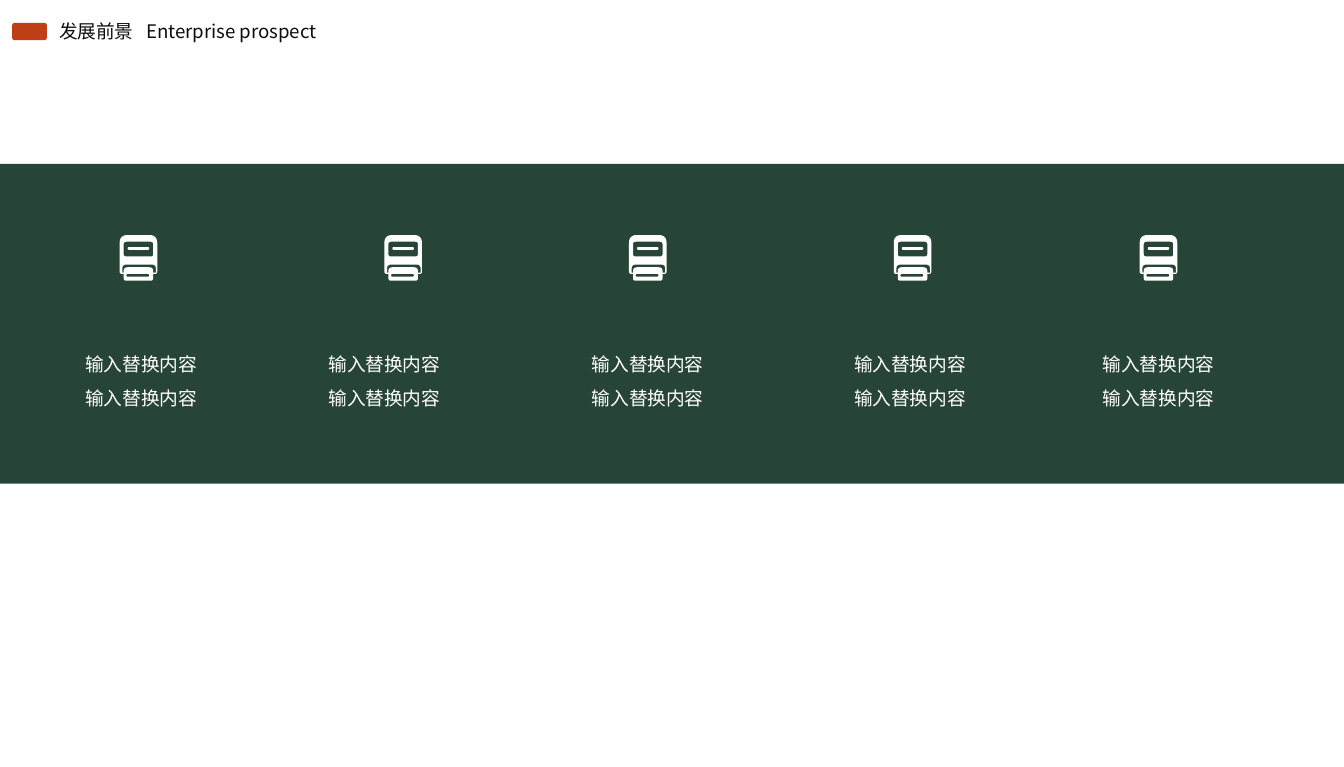
from dataclasses import dataclass
from math import hypot

from lxml.etree import SubElement
from pptx import Presentation
from pptx.dml.color import RGBColor
from pptx.enum.shapes import MSO_SHAPE
from pptx.enum.text import MSO_ANCHOR, MSO_AUTO_SIZE, PP_ALIGN
from pptx.oxml.ns import qn
from pptx.util import Inches, Pt


@dataclass(frozen=True)
class Theme:
    font: str = "Noto Sans CJK SC"
    size: int = 10
    line_height: int = 12
    paragraph_gap: int = 6
    ink: str = "0D0D0D"
    white: str = "FFFFFF"
    accent: str = "BE3F15"
    band: str = "274536"


def rectangle(left, top, right, bottom, radius):
    return [(left, top, radius), (right, top, radius),
            (right, bottom, radius), (left, bottom, radius)]


# Train icon: closed outlines of (x, y, corner radius), in inches
TRAIN_OUTLINES = [
    # Body with bumper
    [(0, 0, 0.06), (0.28, 0, 0.06), (0.28, 0.29, 0.02), (0.25, 0.29, 0),
     (0.25, 0.34, 0.02), (0.03, 0.34, 0.02), (0.03, 0.29, 0), (0, 0.29, 0.02)],
    # Window and the stripe in it
    rectangle(0.03, 0.05, 0.25, 0.16, 0.02),
    rectangle(0.06, 0.09, 0.22, 0.11, 0.01),
    # Arch over the bumper
    [(0.02, 0.28, 0), (0.02, 0.22, 0.03), (0.27, 0.22, 0.03), (0.27, 0.28, 0),
     (0.25, 0.28, 0), (0.25, 0.24, 0.03), (0.03, 0.24, 0.03), (0.03, 0.28, 0)],
    # Slot in the bumper
    rectangle(0.05, 0.29, 0.22, 0.31, 0.01),
]


def round_corners(corners, steps=6):
    """Return the outline's points in EMU, each corner drawn as a curve."""
    points = []
    for index, (x, y, radius) in enumerate(corners):
        if not radius:
            points.append((Inches(x), Inches(y)))
            continue
        ends = []
        for near_x, near_y, _ in (corners[index - 1], corners[(index + 1) % len(corners)]):
            share = radius / hypot(near_x - x, near_y - y)
            ends.append((x + (near_x - x) * share, y + (near_y - y) * share))
        (start_x, start_y), (end_x, end_y) = ends
        for step in range(steps + 1):
            t = step / steps
            points.append((
                Inches((1 - t) ** 2 * start_x + 2 * t * (1 - t) * x + t * t * end_x),
                Inches((1 - t) ** 2 * start_y + 2 * t * (1 - t) * y + t * t * end_y)))
    return points


def write_text(box, text, *, theme, color, align=PP_ALIGN.LEFT, wrap=True):
    frame = box.text_frame
    frame.text = text
    frame.word_wrap = wrap
    frame.auto_size = MSO_AUTO_SIZE.SHAPE_TO_FIT_TEXT
    frame.vertical_anchor = MSO_ANCHOR.TOP
    for index, para in enumerate(frame.paragraphs):
        para.alignment = align
        para.line_spacing = Pt(theme.line_height)
        para.space_before = Pt(theme.paragraph_gap if index else 0)
        for span in para.runs:
            span.font.size = Pt(theme.size)
            span.font.color.rgb = RGBColor.from_string(color)
            span.font.name = theme.font
            SubElement(span.font._element, qn("a:ea"), typeface=theme.font)


class PageBuilder:
    def __init__(self, page, theme):
        self.page = page
        self.theme = theme

    def paint(self, shape, color):
        shape.shadow.inherit = False
        shape.fill.solid()
        shape.fill.fore_color.rgb = RGBColor.from_string(color)
        shape.line.fill.background()

    def title(self, text, left, top, width, height):
        box = self.page.shapes.title
        box.left, box.top = Inches(left), Inches(top)
        box.width, box.height = Inches(width), Inches(height)
        write_text(box, text, theme=self.theme, color=self.theme.ink, wrap=False)

    def text(self, text, left, top, width, height, **style):
        box = self.page.shapes.add_textbox(
            Inches(left), Inches(top), Inches(width), Inches(height))
        write_text(box, text, theme=self.theme, **style)

    def block(self, kind, left, top, width, height, color):
        shape = self.page.shapes.add_shape(
            kind, Inches(left), Inches(top), Inches(width), Inches(height))
        self.paint(shape, color)

    def train(self, left, top):
        outlines = [round_corners(corners) for corners in TRAIN_OUTLINES]
        builder = self.page.shapes.build_freeform(*outlines[0][0])
        for index, points in enumerate(outlines):
            if index:
                builder.move_to(*points[0])
            builder.add_line_segments(points[1:], close=True)
        self.paint(builder.convert_to_shape(Inches(left), Inches(top)), self.theme.white)


def main():
    deck = Presentation()
    deck.slide_width, deck.slide_height = Inches(10), Inches(5.71)
    theme = Theme()
    page = PageBuilder(deck.slides.add_slide(deck.slide_layouts[5]), theme)

    # Heading
    page.block(MSO_SHAPE.ROUNDED_RECTANGLE, 0.09, 0.17, 0.26, 0.13, theme.accent)
    page.title("发展前景", 0.34, 0.1, 0.76, 0.27)
    page.text("Enterprise prospect", 0.99, 0.1, 2.49, 0.27, color=theme.ink)

    # Green band with five icons and captions
    page.block(MSO_SHAPE.RECTANGLE, 0, 1.22, 10, 2.38, theme.band)
    for icon_left in (0.89, 2.86, 4.68, 6.65, 8.48):
        page.train(icon_left, 1.75)
    for caption_left in (0, 1.81, 3.77, 5.72, 7.57):
        page.text("输入替换内容\n输入替换内容", caption_left, 2.58, 2.1, 0.52,
                  color=theme.white, align=PP_ALIGN.CENTER)

    deck.save("out.pptx")


if __name__ == "__main__":
    main()
